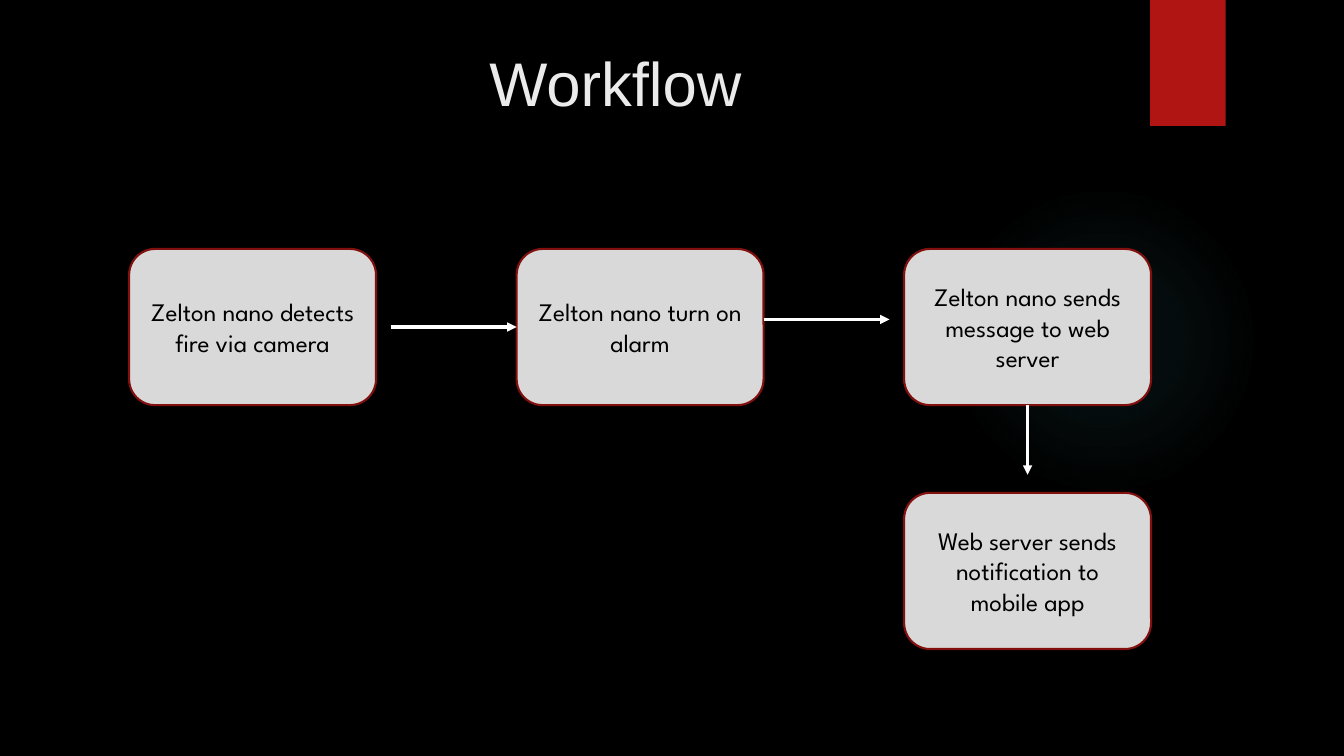
from dataclasses import dataclass

from lxml import etree
from pptx import Presentation
from pptx.dml.color import RGBColor as RGB
from pptx.enum.shapes import MSO_CONNECTOR as Connector, MSO_SHAPE as Shape
from pptx.enum.text import MSO_ANCHOR as Anchor, PP_ALIGN as Align
from pptx.oxml import parse_xml
from pptx.oxml.ns import qn
from pptx.util import Pt

NAMESPACE = "http://schemas.openxmlformats.org/drawingml/2006/main"
BOTTOM, LEFT_SIDE = 2, 1


@dataclass(frozen=True)
class Theme:
    background: str = "000000"
    accent: str = "B01513"
    glow: str = "50B9C1"
    title: str = "EBEBEB"
    step_fill: str = "D9D9D9"
    step_line: str = "82100E"
    step_text: str = "000000"
    arrow: str = "FFFFFF"
    title_font: str = "Arial"
    step_font: str = "League Spartan"
    title_size: float = 44
    step_size: float = 18
    step_border: float = 1.5
    arrow_width: float = 2.25


class WorkflowSlide:
    def __init__(self, deck, theme):
        self.theme = theme
        self.page = deck.slides.add_slide(deck.slide_layouts[6])
        fill = self.page.background.fill
        fill.solid()
        fill.fore_color.rgb = RGB.from_string(theme.background)

    def shape(self, kind, left, top, width, height, color):
        shape = self.page.shapes.add_shape(kind, Pt(left), Pt(top), Pt(width), Pt(height))
        shape.shadow.inherit = False
        shape.line.fill.background()
        shape.fill.solid()
        shape.fill.fore_color.rgb = RGB.from_string(color)
        return shape

    def set_text(self, box, text, font, size, color, anchor):
        frame = box.text_frame
        frame.text = text
        frame.word_wrap = True
        frame.vertical_anchor = anchor
        para = frame.paragraphs[0]
        para.alignment = Align.CENTER
        span = para.runs[0]
        span.font.name = font
        span.font.size = Pt(size)
        span.font.color.rgb = RGB.from_string(color)

    def glow(self, left, top, size):
        color = self.theme.glow
        shape = self.shape(Shape.OVAL, left, top, size, size, color)
        stops = "".join(
            f'<a:gs pos="{place * 1000}"><a:srgbClr val="{color}">'
            f'<a:alpha val="{opacity * 1000}"/></a:srgbClr></a:gs>'
            for place, opacity in ((0, 7), (36, 6), (69, 0))
        )
        gradient = parse_xml(
            f'<a:gradFill xmlns:a="{NAMESPACE}"><a:gsLst>{stops}</a:gsLst><a:path path="circle">'
            '<a:fillToRect l="50000" t="50000" r="50000" b="50000"/></a:path></a:gradFill>'
        )
        properties = shape.element.spPr
        properties.replace(properties.find(qn("a:solidFill")), gradient)

    def title(self, text, left, top, width, height):
        theme = self.theme
        box = self.page.shapes.add_textbox(Pt(left), Pt(top), Pt(width), Pt(height))
        self.set_text(box, text, theme.title_font, theme.title_size, theme.title, Anchor.BOTTOM)

    def step(self, text, left, top, width, height):
        theme = self.theme
        box = self.shape(Shape.ROUNDED_RECTANGLE, left, top, width, height, theme.step_fill)
        box.line.color.rgb = RGB.from_string(theme.step_line)
        box.line.width = Pt(theme.step_border)
        self.set_text(box, text, theme.step_font, theme.step_size, theme.step_text, Anchor.MIDDLE)
        return box

    def arrow(self, start, end):
        arrow = self.page.shapes.add_connector(
            Connector.STRAIGHT, *(Pt(value) for value in (*start, *end))
        )
        arrow.line.color.rgb = RGB.from_string(self.theme.arrow)
        arrow.line.width = Pt(self.theme.arrow_width)
        properties = arrow.element.spPr
        etree.SubElement(properties.find(qn("a:ln")), qn("a:tailEnd"), type="triangle")
        etree.SubElement(properties, qn("a:effectLst"))
        return arrow


def main():
    deck = Presentation()
    deck.slide_width, deck.slide_height = Pt(960), Pt(540)
    theme = Theme()
    slide = WorkflowSlide(deck, theme)

    # Backdrop and title
    slide.glow(677.5, 131.8, 221.8)
    slide.shape(Shape.RECTANGLE, 821.5, 0, 54, 90, theme.accent)
    slide.title("Workflow", 92.2, 32.4, 694.8, 56.2)

    # Steps on a grid of columns and rows
    left, top, width, height = 92.2, 177.8, 176.4, 111.6
    column_step, row_step = 276.8, 174.2
    steps = (
        ("Zelton nano detects fire via camera", 0, 0),
        ("Zelton nano turn on alarm", 1, 0),
        ("Zelton nano sends message to web server", 2, 0),
        ("Web server sends notification to mobile app", 2, 1),
    )
    _, alarm, message, _ = [
        slide.step(text, left + column * column_step, top + row * row_step, width, height)
        for text, column, row in steps
    ]

    # Arrows between the steps
    middle = top + height / 2
    alarm_left = left + column_step
    alarm_right = alarm_left + width
    message_center = left + 2 * column_step + width / 2
    reach = 90
    to_alarm = slide.arrow((alarm_left - reach, middle), (alarm_left, middle))
    to_alarm.end_connect(alarm, LEFT_SIDE)
    slide.arrow((alarm_right, 228.2), (alarm_right + reach, 228.2))
    to_notification = slide.arrow((message_center, top + height), (message_center, 339.1))
    to_notification.begin_connect(message, BOTTOM)

    deck.save("out.pptx")


if __name__ == "__main__":
    main()
